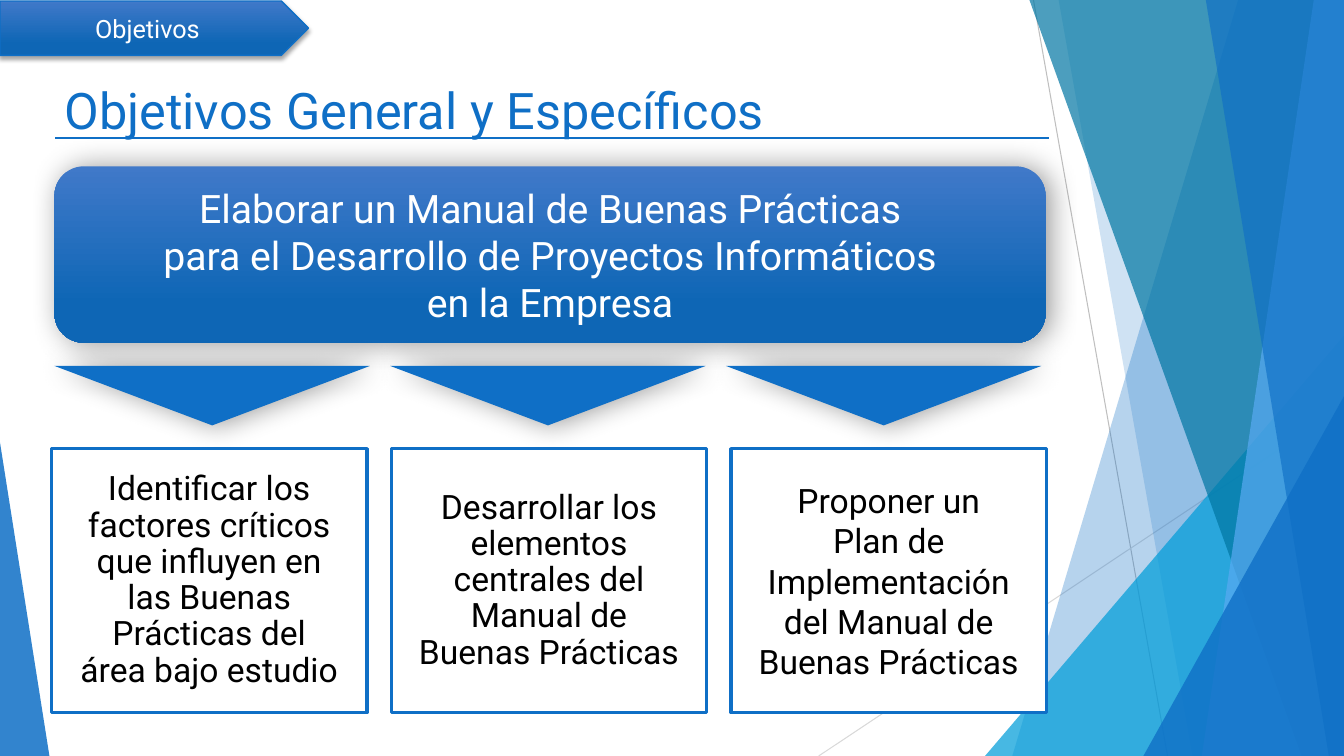
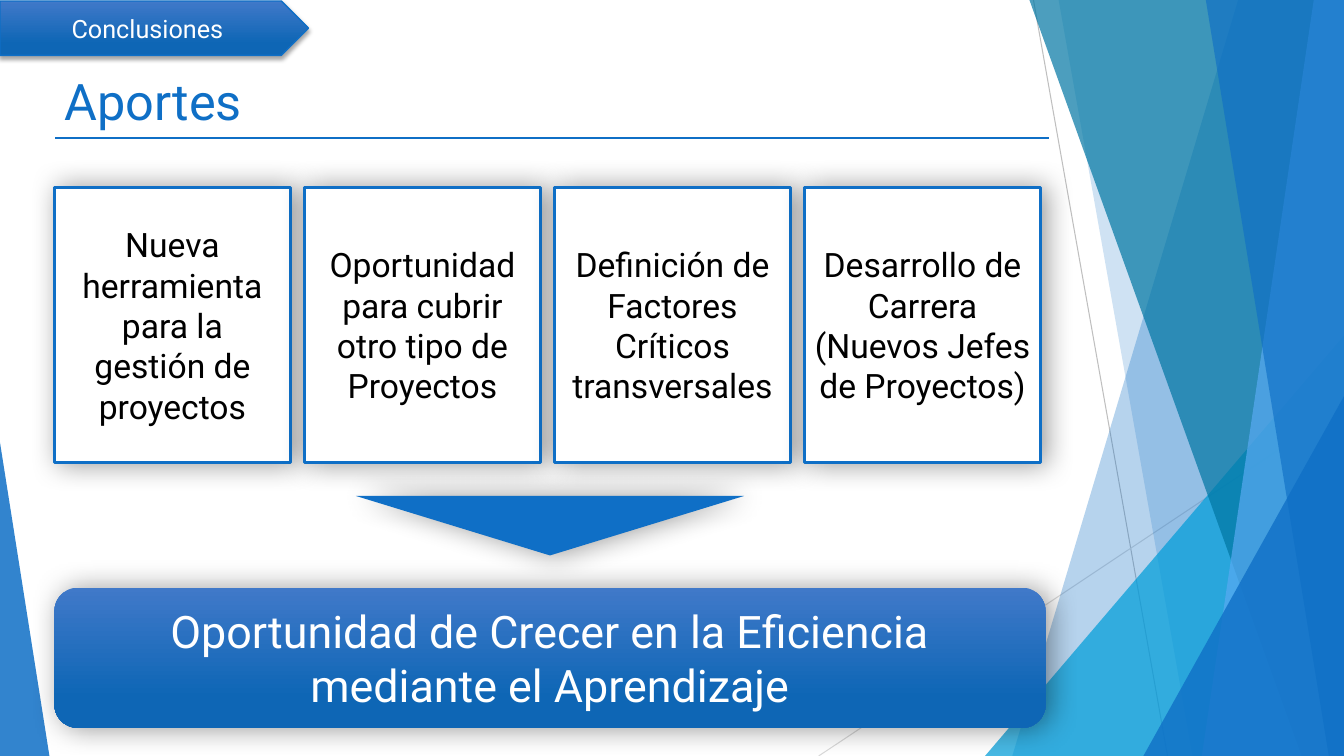
from lxml.etree import SubElement
from pptx import Presentation
from pptx.dml.color import RGBColor
from pptx.enum.shapes import MSO_CONNECTOR, MSO_SHAPE
from pptx.enum.text import MSO_ANCHOR, MSO_AUTO_SIZE, PP_ALIGN
from pptx.oxml.ns import qn
from pptx.util import Inches, Pt

COLORS = {
    "blue": "0F6FC6",
    "cyan": "009DD9",
    "teal": "0076A3",
    "sky": "59AAF2",
    "grad_top": "4079C9",
    "grad_bottom": "0E66B5",
    "gray": "BFBFBF",
    "light_gray": "D9D9D9",
    "white": "FFFFFF",
    "black": "000000",
}
FONT = "Roboto"
WIDTH, HEIGHT = 13.33, 7.5
LEFT = 0.54
GLOW = {"alpha": 40, "blur": 20, "distance": 3, "angle": 0}
TAB_SHADOW = {"alpha": 35, "blur": 3, "distance": 2, "angle": 90}


def color(name):
    return RGBColor.from_string(COLORS[name])


def write(box, *lines, size=24, ink="black", align=PP_ALIGN.CENTER, inset=None, spacing=None):
    frame = box.text_frame
    frame.word_wrap = True
    frame.auto_size = MSO_AUTO_SIZE.NONE
    frame.vertical_anchor = MSO_ANCHOR.MIDDLE
    if inset is not None:
        frame.margin_left = frame.margin_right = Inches(inset)
        frame.margin_top = frame.margin_bottom = Inches(inset)
    for number, line in enumerate(lines):
        para = frame.add_paragraph() if number else frame.paragraphs[0]
        para.alignment = align
        para.line_spacing = spacing
        span = para.add_run()
        span.text = line
        span.font.name = FONT
        span.font.size = Pt(size)
        span.font.color.rgb = color(ink)


def paint(shape, fill, alpha=100, line=None, line_width=1):
    shape.shadow.inherit = False
    shape.fill.solid()
    shape.fill.fore_color.rgb = color(fill)
    if alpha < 100:
        solid = shape.element.spPr.find(qn("a:solidFill"))
        SubElement(solid[0], qn("a:alpha"), val=str(alpha * 1000))
    if line:
        shape.line.color.rgb = color(line)
        shape.line.width = Pt(line_width)
    else:
        shape.line.fill.background()


def paint_gradient(shape):
    shape.fill.gradient()
    shape.fill.gradient_angle = 270
    stops = shape.fill.gradient_stops
    for stop, name, position in zip(stops, ("grad_top", "grad_bottom"), (0, 0.78)):
        stop.color.rgb = color(name)
        stop.position = position


def cast_shadow(shape, alpha, blur, distance, angle):
    effects = shape.element.spPr.find(qn("a:effectLst"))
    shadow = SubElement(
        effects, qn("a:outerShdw"), blurRad=str(Pt(blur)), dist=str(Pt(distance)),
        dir=str(angle * 60000), algn="ctr", rotWithShape="0",
    )
    ink = SubElement(shadow, qn("a:srgbClr"), val=COLORS["black"])
    SubElement(ink, qn("a:alpha"), val=str(alpha * 1000))


def add_box(page, kind, left, top, width, height, fill="blue", shadow=None, gradient=False, **style):
    box = page.shapes.add_shape(kind, Inches(left), Inches(top), Inches(width), Inches(height))
    paint(box, fill, **style)
    if gradient:
        paint_gradient(box)
    if shadow:
        cast_shadow(box, **shadow)
    return box


def add_line(page, start, end, name, width):
    line = page.shapes.add_connector(
        MSO_CONNECTOR.STRAIGHT, *(Inches(value) for value in (*start, *end)))
    line.line.color.rgb = color(name)
    line.line.width = Pt(width)
    SubElement(line.element.spPr, qn("a:effectLst"))


def add_band(page, top_x, bottom_x, fill, alpha):
    corners = [(WIDTH, 0), (WIDTH, HEIGHT), (bottom_x, HEIGHT)]
    outline = page.shapes.build_freeform(Inches(top_x), 0)
    outline.add_line_segments([(Inches(x), Inches(y)) for x, y in corners], close=True)
    paint(outline.convert_to_shape(), fill, alpha)


def add_triangle(page, left, top, width, apex, fill, alpha):
    triangle = add_box(page, MSO_SHAPE.ISOSCELES_TRIANGLE, left, top, width, HEIGHT - top,
                       fill=fill, alpha=alpha)
    triangle.adjustments[0] = apex


def add_arrow(page, left, top, width):
    add_box(page, MSO_SHAPE.FLOWCHART_MERGE, left, top, width, 0.59, shadow=GLOW)


def add_banner(page, kind, top, height, *lines, **text):
    banner = add_box(page, kind, LEFT, top, 9.83, height, gradient=True, shadow=GLOW)
    write(banner, *lines, ink="white", **text)


def add_card(page, left, top, width, height, *lines, shadow=None, **text):
    card = add_box(page, MSO_SHAPE.FLOWCHART_PROCESS, left, top, width, height,
                   fill="white", line="blue", line_width=2.25, shadow=shadow)
    write(card, *lines, **text)


def draw_backdrop(page):
    add_line(page, (10.25, 0), (11.58, HEIGHT), "gray", 0.75)
    add_line(page, (WIDTH, 4.03), (8.12, HEIGHT), "light_gray", 0.75)
    add_band(page, 12.28, 10.04, "blue", 30)
    add_band(page, 10.5, 11.83, "blue", 20)
    add_triangle(page, 9.77, 3.33, 3.56, 1, "cyan", 72)
    add_band(page, 10.21, 12.91, "teal", 70)
    add_band(page, 13.03, 11.92, "sky", 70)
    add_band(page, 11.96, 13.18, "blue", 65)
    add_triangle(page, 11.34, 3.93, 1.99, 1, "blue", 80)
    add_triangle(page, 0, 4.39, 0.49, 0, "blue", 85)
    add_line(page, (0.55, 1.37), (10.4, 1.37), "blue", 1)


def move_backdrop_to_layout(page):
    layout = page.slide_layout
    for holder in list(layout.placeholders):
        if holder.placeholder_format.idx:
            layout.shapes.element.remove(holder.element)
    for shape in list(page.shapes):
        if not shape.is_placeholder:
            layout.shapes.element.append(shape.element)


def set_title(page, section, title, top, height):
    box = page.shapes.title
    box.left, box.top = Inches(LEFT), Inches(top)
    box.width, box.height = Inches(9.83), Inches(height)
    write(box, title, size=36, ink="blue", align=PP_ALIGN.LEFT)
    tab = add_box(page, MSO_SHAPE.PENTAGON, 0, 0.01, 3.06, 0.54,
                  gradient=True, line="blue", shadow=TAB_SHADOW)
    write(tab, section, size=18, ink="white")


def fill_objectives(page):
    set_title(page, "Objetivos", "Objetivos General y Específicos", 0.7, 0.76)
    add_banner(
        page, MSO_SHAPE.FLOWCHART_ALTERNATE_PROCESS, 1.65, 1.75,
        "Elaborar un Manual de Buenas Prácticas",
        "para el Desarrollo de Proyectos Informáticos",
        "en la Empresa",
        size=28, inset=0.12,
    )
    objectives = [
        (["Identificar los factores críticos que influyen en las Buenas Prácticas "
          "del área bajo estudio"], 0.9),
        (["Desarrollar los elementos centrales del Manual de Buenas Prácticas"], 0.9),
        (["Proponer un", "Plan de Implementación del Manual de Buenas Prácticas"], None),
    ]
    for column, (lines, spacing) in enumerate(objectives):
        add_card(page, 0.51 + 3.37 * column, 4.45, 3.13, 2.62, *lines,
                 inset=0.25, spacing=spacing)
        add_arrow(page, LEFT + 3.33 * column, 3.63, 3.13)


def fill_contributions(page):
    set_title(page, "Conclusiones", "Aportes", 0.63, 0.74)
    contributions = [
        "Nueva herramienta para la gestión de proyectos",
        "Oportunidad para cubrir otro tipo de Proyectos",
        "Definición de Factores Críticos transversales",
        "Desarrollo de Carrera (Nuevos Jefes de Proyectos)",
    ]
    for column, text in enumerate(contributions):
        add_card(page, LEFT + 2.48 * column, 1.86, 2.34, 2.73, text, shadow=GLOW)
    add_banner(
        page, MSO_SHAPE.ROUNDED_RECTANGLE, 5.83, 1.39,
        "Oportunidad de Crecer en la Eficiencia", "mediante el Aprendizaje",
        size=32,
    )
    add_arrow(page, 3.53, 4.92, 3.85)


def main():
    deck = Presentation()
    deck.slide_width, deck.slide_height = Inches(WIDTH), Inches(HEIGHT)
    layout = deck.slide_layouts.get_by_name("Title Only")
    objectives, contributions = (deck.slides.add_slide(layout) for _ in range(2))
    draw_backdrop(objectives)
    move_backdrop_to_layout(objectives)
    fill_objectives(objectives)
    fill_contributions(contributions)
    deck.save("out.pptx")


if __name__ == "__main__":
    main()
